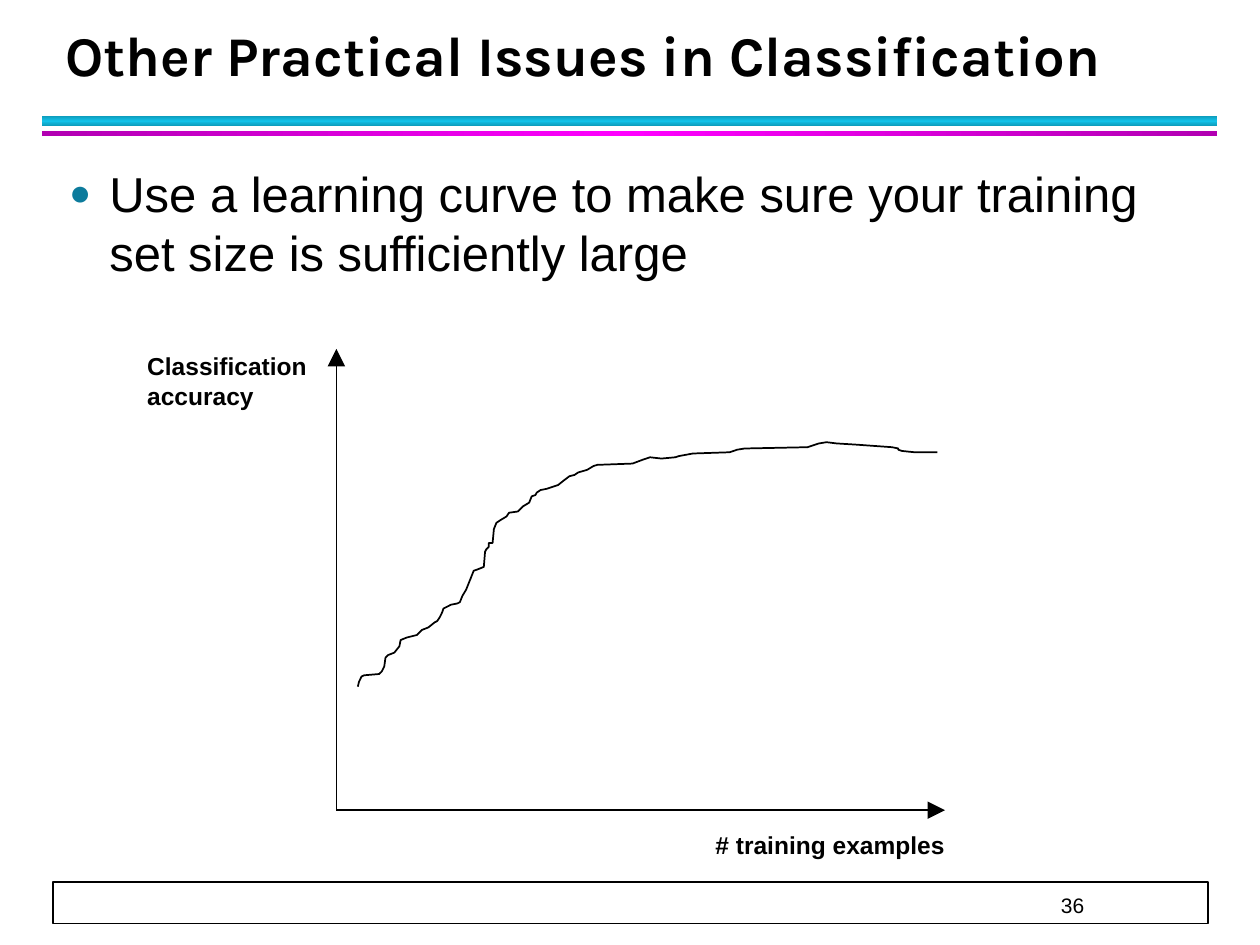
from lxml import etree
from pptx import Presentation, util as u
from pptx.dml.color import RGBColor
from pptx.enum import shapes, text
from pptx.oxml import parse_xml
from pptx.oxml.ns import nsdecls, qn

THEME = {
    "heading": "Karla", "body": "Arial", "ink": "000000", "paper": "FFFFFF",
    "bullet": "0C7B9C", "title": 32, "point": 28, "label": 14, "number": 12,
}
TITLE = "Other Practical Issues in Classification"
POINT = "Use a learning curve to make sure your training set size is sufficiently large"
PAGE_NUMBER = "36"
AXIS_LABELS = [
    ("# training examples", (5.58, 6.54, 2.67, 0.34)),
    ("Classification accuracy", (1.07, 2.74, 1.85, 0.57)),
]
RULES = [
    ((0.33, 0.92, 9.33, 0.08), ("0E9BBA", "12C2E9", "0E9BBA"), 90),
    ((0.33, 1.04, 9.33, 0.04), ("B200B2", "FF00FF", "B200B2"), 0),
]
ORIGIN = (2.67, 6.43)
AXIS_ENDS = [(7.5, 6.43), (2.67, 2.77)]
LEARNING_CURVE = [
    (2.84, 5.45), (2.85, 5.41), (2.87, 5.37), (2.89, 5.36), (3.01, 5.35), (3.03, 5.33),
    (3.05, 5.29), (3.06, 5.22), (3.08, 5.2), (3.13, 5.18), (3.17, 5.13), (3.18, 5.08),
    (3.23, 5.06), (3.31, 5.04), (3.35, 5), (3.4, 4.98), (3.45, 4.94), (3.47, 4.93),
    (3.49, 4.9), (3.5, 4.88), (3.51, 4.86), (3.52, 4.83), (3.58, 4.8), (3.63, 4.79),
    (3.65, 4.78), (3.67, 4.73), (3.7, 4.68), (3.72, 4.63), (3.74, 4.58), (3.76, 4.53),
    (3.79, 4.52), (3.84, 4.5), (3.85, 4.38), (3.86, 4.36), (3.88, 4.34), (3.88, 4.31),
    (3.91, 4.31), (3.92, 4.2), (3.94, 4.15), (3.97, 4.13), (4.02, 4.1), (4.04, 4.07),
    (4.11, 4.06), (4.15, 4.02), (4.2, 3.99), (4.22, 3.94), (4.25, 3.93), (4.26, 3.91),
    (4.29, 3.89), (4.34, 3.88), (4.43, 3.85), (4.48, 3.81), (4.52, 3.78), (4.56, 3.77),
    (4.59, 3.75), (4.66, 3.73), (4.71, 3.7), (4.74, 3.69), (5.02, 3.68), (5.1, 3.65),
    (5.13, 3.64), (5.16, 3.63), (5.25, 3.64), (5.36, 3.63), (5.39, 3.62), (5.5, 3.6),
    (5.79, 3.59), (5.85, 3.57), (5.91, 3.56), (6.41, 3.55), (6.5, 3.52), (6.56, 3.51),
    (6.64, 3.52), (6.8, 3.53), (7.08, 3.55), (7.13, 3.56), (7.13, 3.57), (7.16, 3.58),
    (7.26, 3.59), (7.44, 3.59),
]


def color(name):
    return RGBColor.from_string(THEME[name])


def place(shape, bounds):
    shape.left, shape.top, shape.width, shape.height = map(u.Inches, bounds)


def write(shape, words, size, font="body", bold=False, anchor=text.MSO_ANCHOR.TOP):
    frame = shape.text_frame
    frame.text = words
    frame.word_wrap = True
    frame.auto_size = text.MSO_AUTO_SIZE.NONE
    frame.vertical_anchor = anchor
    para = frame.paragraphs[0]
    para.alignment = text.PP_ALIGN.LEFT
    span = para.runs[0]
    span.font.name = THEME[font]
    span.font.size = u.Pt(THEME[size])
    span.font.bold = bold
    span.font.color.rgb = color("ink")
    return para


def add_text(page, bounds, words, size, **style):
    box = page.shapes.add_textbox(*map(u.Inches, bounds))
    return box, write(box, words, size, **style)


def outline(shape):
    shape.line.color.rgb = color("ink")
    shape.line.width = u.Pt(1)


def add_rectangle(page, bounds):
    rectangle = page.shapes.add_shape(shapes.MSO_SHAPE.RECTANGLE, *map(u.Inches, bounds))
    rectangle.shadow.inherit = False
    return rectangle


def add_rule(page, bounds, stops, angle):
    rule = add_rectangle(page, bounds)
    rule.line.fill.background()
    marks = "".join(
        f'<a:gs pos="{50000 * i}"><a:srgbClr val="{stop}"/></a:gs>'
        for i, stop in enumerate(stops)
    )
    gradient = parse_xml(
        f'<a:gradFill {nsdecls("a")}><a:gsLst>{marks}</a:gsLst>'
        f'<a:lin ang="{angle * 60000}" scaled="0"/></a:gradFill>'
    )
    rule.element.spPr.find(qn("a:prstGeom")).addnext(gradient)


def add_axis(page, end):
    axis = page.shapes.add_connector(
        shapes.MSO_CONNECTOR.STRAIGHT, *map(u.Inches, ORIGIN + end)
    )
    outline(axis)
    properties = axis.element.spPr
    etree.SubElement(properties.find(qn("a:ln")), qn("a:tailEnd"),
                     type="triangle", w="lg", len="lg")
    etree.SubElement(properties, qn("a:effectLst"))


def indent(para, left, first=0):
    properties = para._p.get_or_add_pPr()
    properties.set("marL", str(u.Inches(left)))
    properties.set("indent", str(u.Inches(first)))
    return properties


def add_bullet(para):
    properties = indent(para, 0.32, -0.32)
    tint = etree.SubElement(properties, qn("a:buClr"))
    etree.SubElement(tint, qn("a:srgbClr"), val=THEME["bullet"])
    etree.SubElement(properties, qn("a:buSzPct"), val="75000")
    etree.SubElement(properties, qn("a:buFont"), typeface=THEME["body"])
    etree.SubElement(properties, qn("a:buChar"), char="●")


def add_footer(page):
    frame = add_rectangle(page, (0.42, 7, 9.17, 0.33))
    frame.fill.solid()
    frame.fill.fore_color.rgb = color("paper")
    outline(frame)
    box, para = add_text(page, (0.42, 7, 9.15, 0.28), PAGE_NUMBER, "number",
                         anchor=text.MSO_ANCHOR.BOTTOM)
    inside = box.text_frame
    inside.margin_left = inside.margin_right = inside.margin_top = inside.margin_bottom = 0
    para.line_spacing = u.Pt(20)
    indent(para, 8)


def add_curve(page):
    start, *rest = [(u.Inches(x), u.Inches(y)) for x, y in LEARNING_CURVE]
    builder = page.shapes.build_freeform(*start)
    builder.add_line_segments(rest, close=False)
    curve = builder.convert_to_shape()
    curve.shadow.inherit = False
    curve.fill.background()
    outline(curve)


def main():
    deck = Presentation()
    deck.slide_width, deck.slide_height = u.Inches(10), u.Inches(7.5)
    page = deck.slides.add_slide(deck.slide_layouts[5])

    add_footer(page)
    for rule in RULES:
        add_rule(page, *rule)

    title = page.shapes.title
    place(title, (0.42, 0.17, 9.06, 0.58))
    para = write(title, TITLE, "title", font="heading", bold=True,
                 anchor=text.MSO_ANCHOR.BOTTOM)
    para.line_spacing = u.Pt(36)

    _, para = add_text(page, (0.45, 1.25, 9.1, 5.67), POINT, "point")
    para.space_before, para.space_after = u.Pt(2.8), u.Pt(4)
    add_bullet(para)

    for end in AXIS_ENDS:
        add_axis(page, end)
    for words, bounds in AXIS_LABELS:
        add_text(page, bounds, words, "label", bold=True)
    add_curve(page)
    deck.save("out.pptx")


if __name__ == "__main__":
    main()
